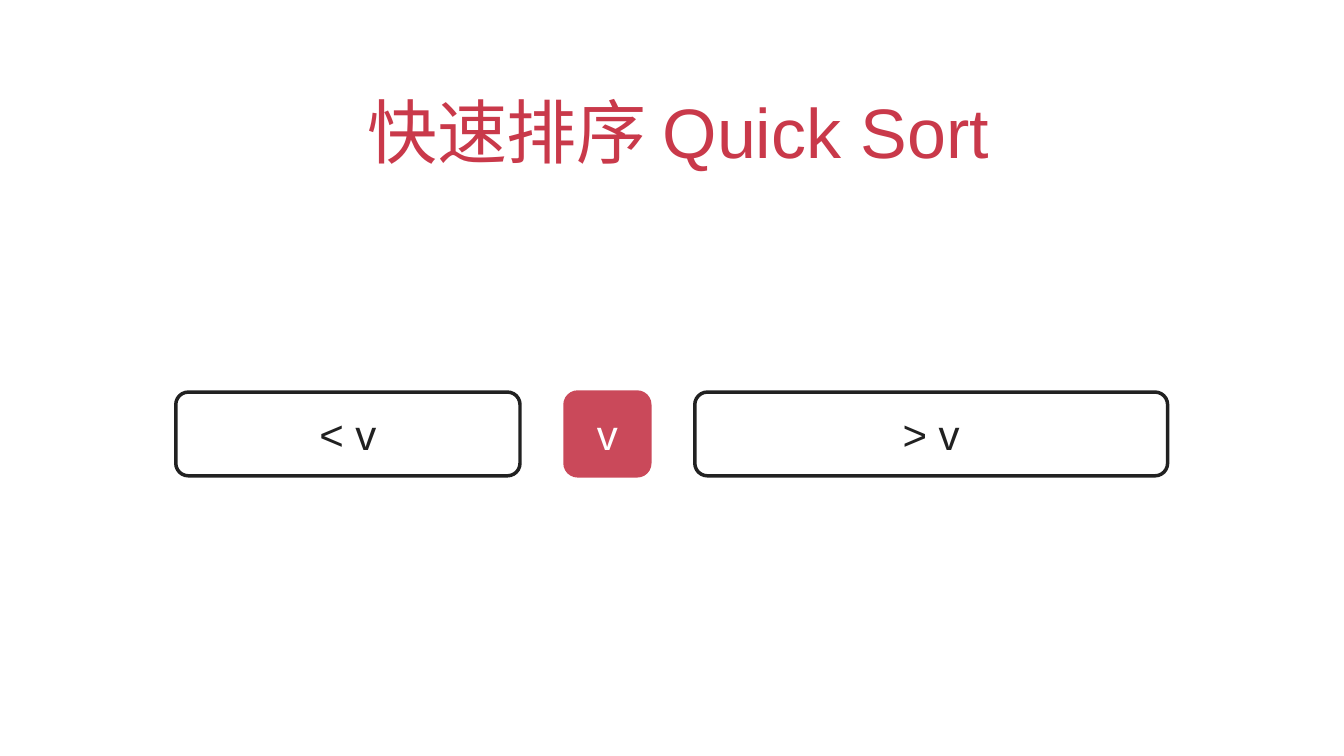
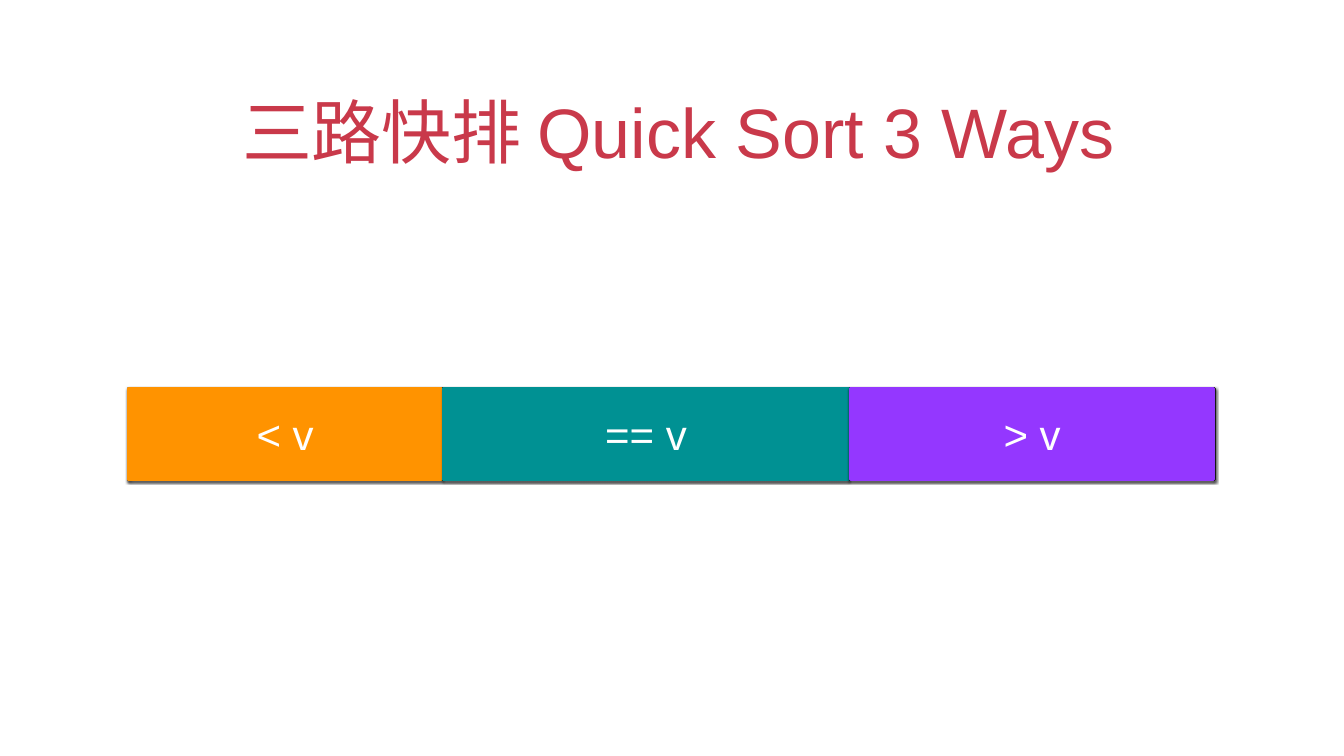
"""Two slides on the partitions of quick sort."""
import dataclasses

import pptx
import pptx.dml.color
import pptx.enum.shapes
import pptx.enum.text
import pptx.oxml
import pptx.oxml.ns
import pptx.util

Cm, Pt = pptx.util.Cm, pptx.util.Pt
Kind = pptx.enum.shapes.MSO_SHAPE


@dataclasses.dataclass(frozen=True)
class Theme:
    """Colours, font and sizes of the deck."""
    red: str = "C9394A"
    pivot: str = "CA495A"
    ink: str = "212121"
    white: str = "FFFFFF"
    less: str = "FF9300"
    same: str = "009193"
    more: str = "9437FF"
    font: str = "Arial"
    head: int = 100
    label: int = 60
    line: int = 5
    inset: float = 0.15


@dataclasses.dataclass(frozen=True)
class Box:
    """A region in centimetres."""
    left: float
    top: float
    width: float
    height: float

    def place(self, shape):
        """Move a shape onto this region."""
        shape.left, shape.top = Cm(self.left), Cm(self.top)
        shape.width, shape.height = Cm(self.width), Cm(self.height)


THEME = Theme()
HEAD = Box(4.93, 3.23, 57.86, 5.64)
SPLIT = Box(8.86, 19.76, 49.98, 4.22)
BAND = Box(6.5, 19.58, 54.71, 4.6)


def rgb(code):
    """Turn a hex code into a colour."""
    return pptx.dml.color.RGBColor.from_string(code)


def write(shape, text, size, color, anchor):
    """Put one centred run in a shape and return its paragraph."""
    frame = shape.text_frame
    frame.word_wrap = True
    frame.auto_size = pptx.enum.text.MSO_AUTO_SIZE.NONE
    frame.vertical_anchor = anchor
    frame.margin_left = frame.margin_right = Cm(THEME.inset)
    frame.margin_top = frame.margin_bottom = Cm(THEME.inset)
    para = frame.paragraphs[0]
    para.alignment = pptx.enum.text.PP_ALIGN.CENTER
    run = para.add_run()
    run.text = text
    run.font.name, run.font.size = THEME.font, Pt(size)
    run.font.color.rgb = rgb(color)
    return para


def shade(shape):
    """Give a shape a soft shadow straight below it."""
    shape.shadow.inherit = False
    effects = shape.fill._xPr.find(pptx.oxml.ns.qn("a:effectLst"))
    effects.append(pptx.oxml.parse_xml(
        f'<a:outerShdw {pptx.oxml.ns.nsdecls("a")} blurRad="{Pt(3)}" '
        f'dist="{Pt(2)}" dir="5400000" rotWithShape="0">'
        '<a:srgbClr val="000000"><a:alpha val="50000"/></a:srgbClr>'
        '</a:outerShdw>'))


def cell(shapes, box, kind, fill, line, text="", color=THEME.white):
    """Draw one part of the array; fill None leaves it open."""
    shape = shapes.add_shape(kind, Cm(box.left), Cm(box.top),
                             Cm(box.width), Cm(box.height))
    shape.shadow.inherit = False
    if fill:
        shape.fill.solid()
        shape.fill.fore_color.rgb = rgb(fill)
    else:
        shape.fill.background()
    shape.line.color.rgb = rgb(line)
    shape.line.width = Pt(THEME.line)
    if text:
        write(shape, text, THEME.label, color,
              pptx.enum.text.MSO_ANCHOR.MIDDLE)
    return shape


def row(box, widths, gap):
    """Yield boxes of the given widths, side by side."""
    left = box.left
    for width in widths:
        yield Box(left, box.top, width, box.height)
        left += width + gap


def page(deck, text):
    """Add a slide with its title and return it."""
    slide = deck.slides.add_slide(deck.slide_layouts[0])
    for holder in list(slide.placeholders):
        if holder.placeholder_format.idx:
            holder.element.getparent().remove(holder.element)
    title = slide.shapes.title
    HEAD.place(title)
    para = write(title, text, THEME.head, THEME.red,
                 pptx.enum.text.MSO_ANCHOR.BOTTOM)
    para.level = 1
    props = para._p.get_or_add_pPr()
    props.set("marL", "0")
    props.set("indent", str(Cm(0.64)))
    return slide


def split(slide, box):
    """Draw the pivot between the smaller and the larger part."""
    parts = [("< v", None, THEME.ink, THEME.ink),
             ("v", THEME.pivot, THEME.pivot, THEME.white),
             ("> v", None, THEME.ink, THEME.ink)]
    group = slide.shapes.add_group_shape()
    spots = row(box, (17.35, 4.27, 23.83), 2.27)
    for spot, (text, fill, line, color) in zip(spots, parts):
        shape = cell(group.shapes, spot, Kind.ROUNDED_RECTANGLE,
                     fill, line, text, color)
        shape.adjustments[0] = 0.15


def band(slide, box):
    """Draw the framed band of three touching parts."""
    shade(cell(slide.shapes, box, Kind.RECTANGLE, None, THEME.ink))
    parts = [("< v", THEME.less), ("== v", THEME.same), ("> v", THEME.more)]
    spots = row(box, (15.75, 20.37, 18.29), 0.13)
    for spot, (text, fill) in zip(spots, parts):
        shade(cell(slide.shapes, spot, Kind.RECTANGLE, fill, fill, text))


def main():
    """Build and save the deck."""
    deck = pptx.Presentation()
    deck.slide_width, deck.slide_height = Cm(67.74), Cm(38.1)
    split(page(deck, "快速排序 Quick Sort"), SPLIT)
    band(page(deck, "三路快排 Quick Sort 3 Ways"), BAND)
    deck.save("out.pptx")


main()
